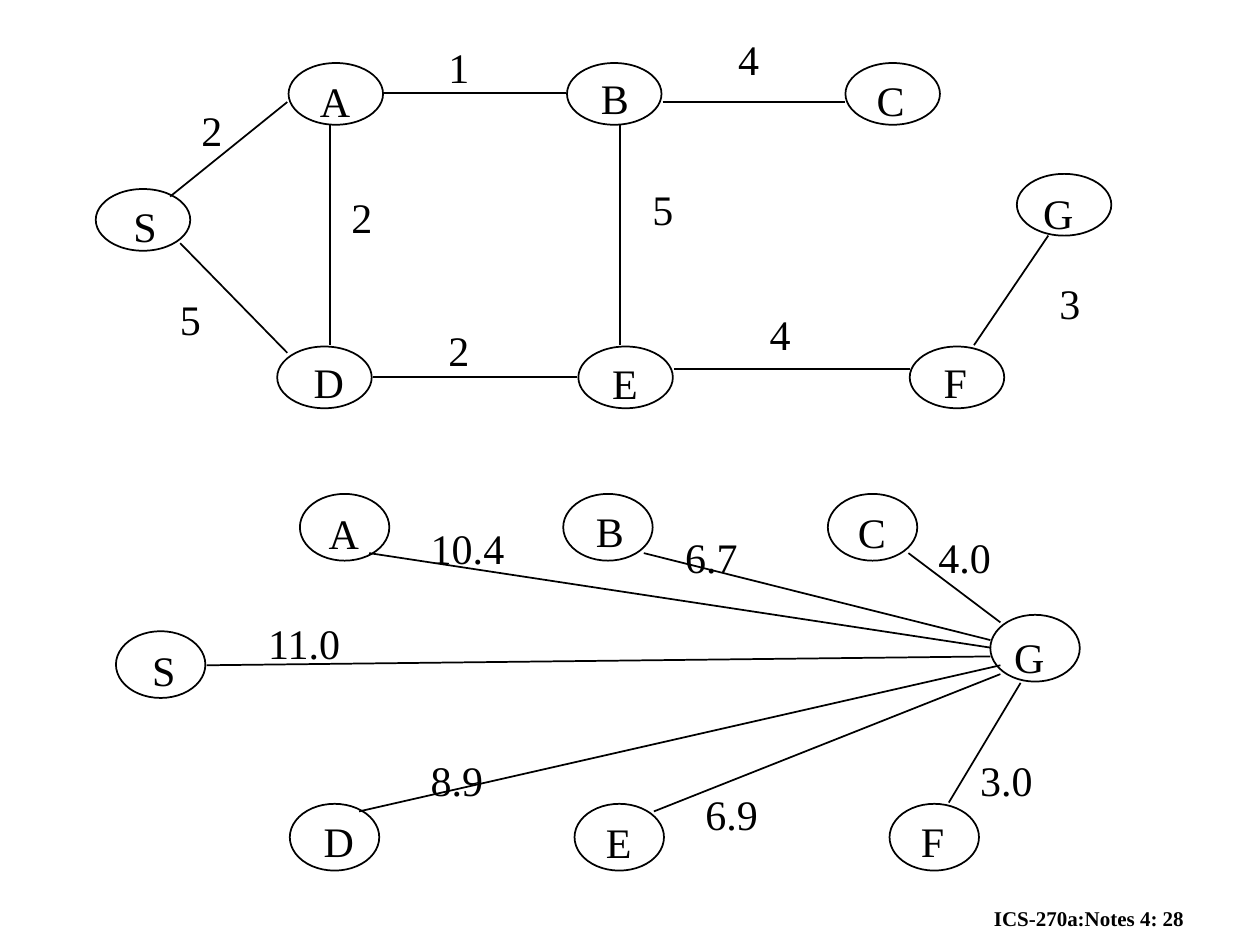
from lxml.etree import SubElement
from pptx import Presentation
from pptx.dml.color import RGBColor
from pptx.enum.shapes import MSO_CONNECTOR, MSO_SHAPE
from pptx.enum.text import MSO_AUTO_SIZE
from pptx.oxml.ns import qn
from pptx.util import Inches, Pt

COLORS = {"ink": "000000"}
FONT = "Times New Roman"
LETTER_WIDTHS = {"S": 0.38, "A": 0.44, "B": 0.42, "C": 0.42,
                 "D": 0.44, "E": 0.4, "F": 0.38, "G": 0.44}
COST_WIDTHS = {1: 0.36, 3: 0.63, 4: 0.79}  # by number of characters

# All graph coordinates are inches from the top left of the graph's box.
# Nodes: name, ellipse position, letter offset within the ellipse
ROAD_NODES = [
    ("S", (0, 1), (0.2, 0.04)),
    ("A", (1.53, 0), (0.15, 0.05)),
    ("B", (3.74, 0), (0.17, 0.03)),
    ("C", (5.95, 0), (0.15, 0.04)),
    ("D", (1.44, 2.25), (0.19, 0.03)),
    ("E", (3.83, 2.25), (0.17, 0.04)),
    ("F", (6.46, 2.25), (0.17, 0.03)),
    ("G", (7.31, 0.88), (0.11, 0.06)),
]
# Edges: start, end, cost, cost position
ROAD_EDGES = [
    ((0.67, 1.43), (1.52, 2.3), "5", (0.57, 1.78)),
    ((0.59, 1.06), (1.52, 0.31), "2", (0.74, 0.28)),
    ((1.86, 0.49), (1.86, 2.24), "2", (1.93, 0.97)),
    ((2.29, 0.24), (3.73, 0.24), "1", (2.7, -0.22)),
    ((2.2, 2.49), (3.82, 2.49), "2", (2.7, 2.03)),
    ((4.5, 0.31), (5.95, 0.31), "4", (5, -0.28)),
    ((4.59, 2.43), (6.46, 2.43), "4", (5.25, 1.9)),
    ((6.97, 2.24), (7.56, 1.37), "3", (7.55, 1.65)),
    ((4.16, 0.49), (4.16, 2.24), "5", (4.32, 0.91)),
]
ESTIMATE_NODES = [
    ("S", (0, 1.09), (0.19, 0.06)),
    ("A", (1.46, 0), (0.13, 0.06)),
    ("B", (3.55, 0), (0.16, 0.04)),
    ("C", (5.65, 0), (0.14, 0.05)),
    ("D", (1.38, 2.46), (0.17, 0.04)),
    ("E", (3.64, 2.46), (0.15, 0.05)),
    ("F", (6.14, 2.46), (0.15, 0.04)),
    ("G", (6.94, 0.96), (0.09, 0.08)),
]
ESTIMATE_EDGES = [
    ((6.29, 0.47), (7.02, 1.02), "4.0", (6.43, 0.25)),
    ((4.19, 0.47), (6.94, 1.16), "6.7", (4.42, 0.25)),
    ((2.01, 0.47), (6.94, 1.22), "10.4", (2.4, 0.18)),
    ((0.72, 1.36), (6.94, 1.29), "11.0", (1.11, 0.93)),
    ((1.93, 2.52), (7.02, 1.36), "8.9", (2.4, 2.02)),
    ((4.27, 2.52), (7.02, 1.43), "6.9", (4.58, 2.29)),
    ((6.61, 2.45), (7.18, 1.5), "3.0", (6.76, 2.02)),
]


def color(name):
    return RGBColor.from_string(COLORS[name])


def add_text(shapes, text, left, top, width, height=0.5, size=24, bold=False):
    box = shapes.add_textbox(Inches(left), Inches(top), Inches(width), Inches(height))
    frame = box.text_frame
    frame.word_wrap = False
    frame.auto_size = MSO_AUTO_SIZE.SHAPE_TO_FIT_TEXT
    span = frame.paragraphs[0].add_run()
    span.text = text
    span.font.name = FONT
    span.font.size = Pt(size)
    span.font.bold = bold
    span.font.color.rgb = color("ink")


def style_line(line):
    line.color.rgb = color("ink")
    line.width = Pt(1)


def add_ellipse(shapes, left, top, width, height):
    ellipse = shapes.add_shape(MSO_SHAPE.OVAL, Inches(left), Inches(top),
                               Inches(width), Inches(height))
    ellipse.shadow.inherit = False
    ellipse.fill.background()
    style_line(ellipse.line)


def add_edge(shapes, start, end):
    edge = shapes.add_connector(MSO_CONNECTOR.STRAIGHT,
                                *(Inches(value) for value in (*start, *end)))
    style_line(edge.line)
    SubElement(edge._element.spPr, qn("a:effectLst"))


def draw_graph(shapes, box, node_size, nodes, edges):
    left, top = box

    def place(point):
        return left + point[0], top + point[1]

    # Nodes and their letters
    for name, corner, offset in nodes:
        x, y = place(corner)
        add_ellipse(shapes, x, y, *node_size)
        add_text(shapes, name, x + offset[0], y + offset[1], LETTER_WIDTHS[name])
    # Edges and their costs
    for start, end, cost, spot in edges:
        add_edge(shapes, place(start), place(end))
        add_text(shapes, cost, *place(spot), COST_WIDTHS[len(cost)])


def main():
    deck = Presentation()
    deck.slide_width, deck.slide_height = Inches(10), Inches(7.5)
    page = deck.slides.add_slide(deck.slide_layouts[6])

    # Footer
    add_text(page.shapes, "ICS-270a:Notes 4: 28", 7.79, 7.14, 2.3,
             height=0.3, size=12, bold=True)
    # Estimated distances to the goal, as one group
    group = page.shapes.add_group_shape()
    draw_graph(group.shapes, (0.92, 3.92), (0.71, 0.53), ESTIMATE_NODES, ESTIMATE_EDGES)
    # Road costs
    draw_graph(page.shapes, (0.76, 0.5), (0.75, 0.49), ROAD_NODES, ROAD_EDGES)

    deck.save("out.pptx")


if __name__ == "__main__":
    main()
